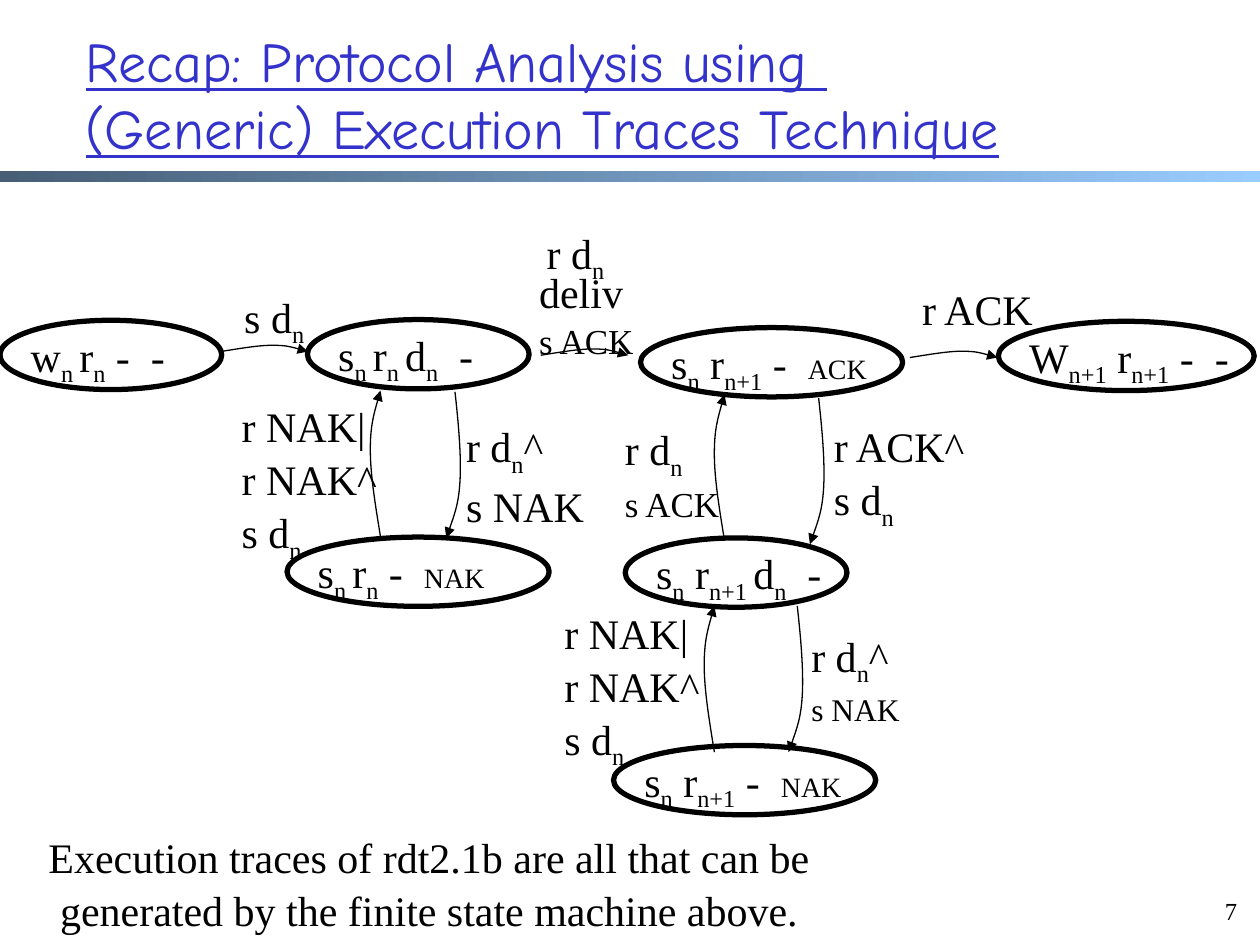
from lxml import etree
from pptx import Presentation
from pptx.dml.color import RGBColor
from pptx.enum import shapes, text
from pptx.oxml.ns import qn
from pptx.util import Pt

HUES = {"ink": "000000", "title": "3333CC", "dark": "475E76", "light": "99CCFF"}
SERIF = "Times New Roman"
PATHS = {
    "right": [(10.8, -1.7), (21.6, -3.6), (29.5, -3.6), (38, -3.6), (44, -1.7), (50, 0)],
    "up": [(-2.9, -18), (-5.8, -35.3), (-5.8, -49.7),
           (-5.8, -63.4), (-2.9, -73.4), (0, -83.5)],
    "down": [(2, 18), (3.6, 36), (2.9, 50.4), (2.2, 64), (-1.5, 73.5), (-5, 83.5)],
}


def hue(name):
    return RGBColor.from_string(HUES[name])


def write(frame, lines, size=24, small=16, font=SERIF, color="ink", under=None,
          align=None, space=1.05):
    """Fill a frame, one paragraph a line; ~ toggles subscript and ` small text."""
    for i, line in enumerate(lines):
        para = frame.paragraphs[0] if i == 0 else frame.add_paragraph()
        para.alignment = align
        para.line_spacing = space
        for j, part in enumerate(line.split("~")):
            for k, piece in enumerate(part.split("`")):
                for m, words in enumerate(piece.split("\n")):
                    if m:
                        para.add_line_break()
                    if not words:
                        continue
                    run = para.add_run()
                    run.text = words
                    run.font.name = font
                    run.font.size = Pt(small if k % 2 else size)
                    run.font.color.rgb = hue(color)
                    run.font.underline = under
                    if j % 2:
                        run.font._element.set("baseline", "-25000")


class Board:
    """Hold the slide and draw the parts of a state diagram on it."""

    def __init__(self, slide, high=39.6, thick=3, thin=0.75):
        self.slide, self.high = slide, high
        self.thick, self.thin = thick, thin

    def bar(self, x, y, w, h):
        bar = self.slide.shapes.add_shape(
            shapes.MSO_SHAPE.RECTANGLE, Pt(x), Pt(y), Pt(w), Pt(h))
        bar.shadow.inherit = False
        bar.line.fill.background()
        bar.fill.gradient()
        bar.fill.gradient_angle = 0
        for stop, name in zip(bar.fill.gradient_stops, ("dark", "light")):
            stop.color.rgb = hue(name)

    def label(self, x, y, w, h, *lines, wrap=False, grow=True, middle=False, **style):
        box = self.slide.shapes.add_textbox(Pt(x), Pt(y), Pt(w), Pt(h))
        frame = box.text_frame
        frame.word_wrap = wrap
        if grow:
            frame.auto_size = text.MSO_AUTO_SIZE.SHAPE_TO_FIT_TEXT
        if middle:
            frame.vertical_anchor = text.MSO_ANCHOR.MIDDLE
        write(frame, lines, **style)

    def state(self, x, y, w, wide, words):
        oval = self.slide.shapes.add_shape(
            shapes.MSO_SHAPE.OVAL, Pt(x), Pt(y), Pt(w), Pt(self.high))
        oval.shadow.inherit = False
        oval.fill.background()
        oval.line.color.rgb = hue("ink")
        oval.line.width = Pt(self.thick)
        self.label(x + 10.5, y + 0.5, wide, 36.5, words)

    def arrow(self, x, y, way):
        pen = self.slide.shapes.build_freeform(Pt(x), Pt(y))
        pen.add_line_segments(
            [(Pt(x + dx), Pt(y + dy)) for dx, dy in PATHS[way]], close=False)
        curve = pen.convert_to_shape()
        curve.shadow.inherit = False
        curve.fill.background()
        curve.line.color.rgb = hue("ink")
        curve.line.width = Pt(self.thin)
        track = next(curve._element.iter(qn("a:path")))
        legs = track.findall(qn("a:lnTo"))
        for i in range(0, len(legs), 3):
            bend = etree.SubElement(track, qn("a:cubicBezTo"))
            for leg in legs[i:i + 3]:
                bend.append(leg[0])
                track.remove(leg)
        edge = curve.line._get_or_add_ln()
        etree.SubElement(edge, qn("a:tailEnd"), type="triangle")


def main():
    deck = Presentation()
    deck.slide_width, deck.slide_height = Pt(720), Pt(540)
    board = Board(deck.slides.add_slide(deck.slide_layouts[6]))

    board.bar(0, 98, 720, 6)
    board.label(41.8, 8.6, 631.4, 90,
                "Recap: Protocol Analysis using \n(Generic) Execution Traces Technique",
                wrap=True, grow=False, middle=True, size=32, font="Comic Neue",
                color="title", under=True, space=1)

    for spot in (
        (0, 183, 126.7, 96.5, "w~n ~r~n~ -  -"),
        (175.7, 182.6, 126.7, 100.8, "s~n ~r~n ~d~n~  -"),
        (366, 187.2, 149.8, 155.5, "s~n~ r~n+1~ -  `ACK`"),
        (164, 306.9, 149.8, 115.2, "s~n ~r~n~ -  `NAK`"),
        (350.6, 426, 149.8, 132.5, "s~n~ r~n+1~ -  `NAK`"),
        (357.3, 307.4, 126.7, 118, "s~n~ r~n+1 ~d~n~  -"),
        (570.5, 183.6, 146.2, 172, "W~n+1~ r~n+1~ -  -"),
    ):
        board.state(*spot)

    for way, starts in {
        "right": [(126, 200.9), (309, 203), (520, 204.3)],
        "up": [(217.4, 306.7), (414, 308.9), (408.2, 429.8)],
        "down": [(260, 223.9), (467.8, 227.5), (455.6, 346.3)],
    }.items():
        for x, y in starts:
            board.arrow(x, y, way)

    board.label(132.5, 161.3, 50.4, 36, "s d~n~")
    board.label(305.3, 124.6, 50.4, 36, "r d~n~")
    board.label(301, 147.6, 69, 60.5, "deliv", "`s ACK`", small=20)
    board.label(519.8, 157, 78.5, 36, "r ACK")
    board.label(131, 224, 93, 94.3, "r NAK|\nr NAK^\ns d~n~")
    board.label(259.2, 235.4, 82.8, 65.5, "r d~n~^\ns NAK")
    board.label(350, 236.9, 69, 60.5, "r d~n~", "`s ACK`", small=20)
    board.label(315.4, 342, 93, 94.3, "r NAK|\nr NAK^", "s d~n~")
    board.label(456.5, 355, 65.5, 58.3, "r d~n~^", "`s NAK`", small=18)
    board.label(469.4, 235.4, 90, 65.5, "r ACK^", "s d~n~")

    board.label(20.2, 470.2, 450, 65.5,
                "Execution traces of rdt2.1b are all that can be "
                "generated by the finite state machine above.",
                wrap=True, align=text.PP_ALIGN.CENTER)
    board.label(681, 507.6, 33, 27.4, "7", wrap=True, grow=False,
                size=14, align=text.PP_ALIGN.RIGHT)
    deck.save("out.pptx")


if __name__ == "__main__":
    main()
